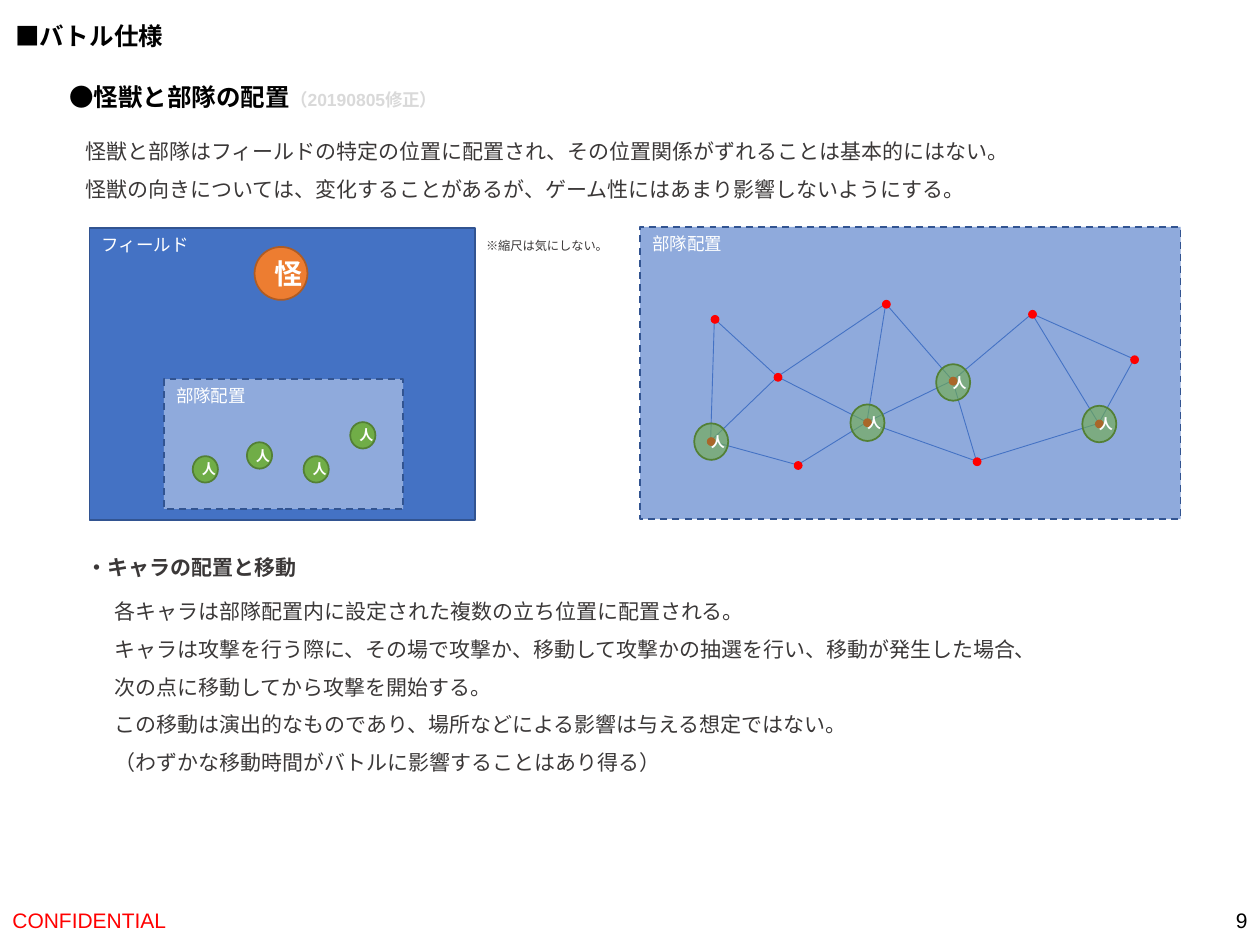
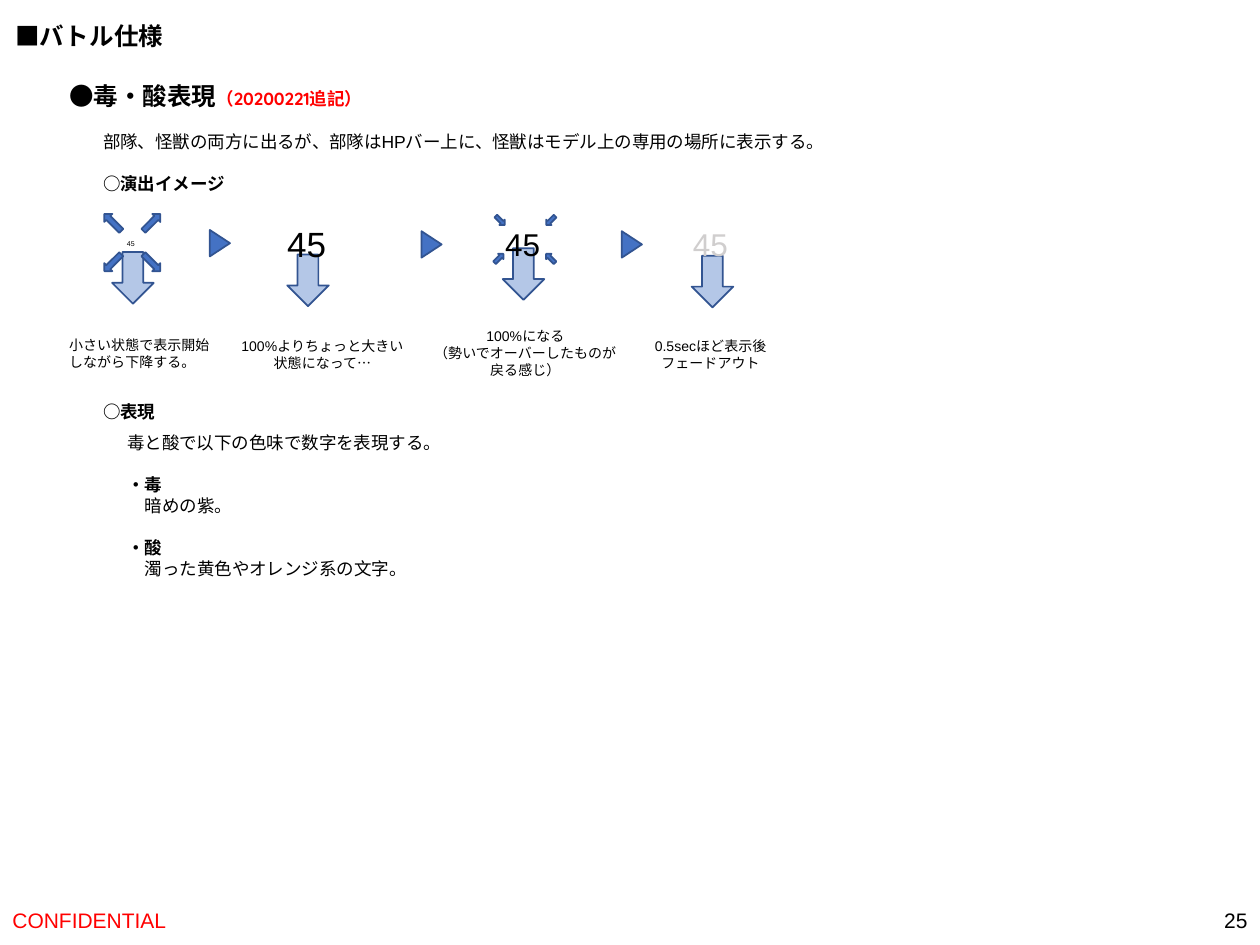
from copy import deepcopy

from lxml import etree
from pptx import Presentation
from pptx.dml.color import RGBColor
from pptx.enum.dml import MSO_LINE
from pptx.enum.shapes import MSO_CONNECTOR, MSO_SHAPE
from pptx.enum.text import MSO_ANCHOR, MSO_AUTO_SIZE, PP_ALIGN
from pptx.oxml.ns import qn
from pptx.util import Pt

PX = 9144  # 100 px to the inch
LINE = MSO_CONNECTOR.STRAIGHT
RECT, OVAL, TRI = MSO_SHAPE.RECTANGLE, MSO_SHAPE.OVAL, MSO_SHAPE.ISOSCELES_TRIANGLE
UP, DOWN = MSO_SHAPE.UP_ARROW, MSO_SHAPE.DOWN_ARROW
DASH = MSO_LINE.DASH
TOP, MID = MSO_ANCHOR.TOP, MSO_ANCHOR.MIDDLE
LEFT, MIDST, RIGHT, JUST = PP_ALIGN.LEFT, PP_ALIGN.CENTER, PP_ALIGN.RIGHT, PP_ALIGN.JUSTIFY
GROW, FIXED = MSO_AUTO_SIZE.SHAPE_TO_FIT_TEXT, MSO_AUTO_SIZE.NONE
SANS, NOTO, ROUND = "Arial", "Noto Sans CJK JP", "Quicksand"

BLACK = RGBColor(0x00, 0x00, 0x00)
WHITE = RGBColor(0xFF, 0xFF, 0xFF)
DARK = RGBColor(0x3B, 0x38, 0x38)
PALE = RGBColor(0xD9, 0xD9, 0xD9)
FADE = RGBColor(0xD0, 0xCE, 0xCE)
RED = RGBColor(0xFF, 0x00, 0x00)
BLUE = RGBColor(0x44, 0x72, 0xC4)
NAVY = RGBColor(0x32, 0x54, 0x91)
SKY = RGBColor(0x8F, 0xAA, 0xDC)
ICE = RGBColor(0xB4, 0xC7, 0xE7)
GREEN = RGBColor(0x70, 0xAD, 0x47)
MOSS = RGBColor(0x53, 0x80, 0x35)
AMBER = RGBColor(0xED, 0x7D, 0x31)
RUST = RGBColor(0xAF, 0x5C, 0x24)


def draw(page, kind, area, fill=None, edge=None, turn=0):
    """Add a preset shape, or a text box when kind is None."""
    area = [v * PX for v in area]
    if kind is None:
        return page.shapes.add_textbox(*area)
    shape = page.shapes.add_shape(kind, *area)
    shape.shadow.inherit = False
    shape.fill.solid()
    shape.fill.fore_color.rgb = fill
    if edge is None:
        shape.line.fill.background()
    else:
        shape.line.color.rgb = edge
        shape.line.width = Pt(1)
    shape.rotation = turn
    return shape


def write(box, text, size, ink, font=SANS, bold=False, align=LEFT,
          anchor=TOP, wrap=True, fit=GROW, space=None):
    """Fill a shape with text, one paragraph a line, and format it."""
    frame = box.text_frame
    frame.text = text
    frame.word_wrap = wrap
    frame.auto_size = fit
    frame.vertical_anchor = anchor
    for para in frame.paragraphs:
        if box.is_placeholder:
            props = para._p.get_or_add_pPr()
            props.set("marL", "0")
            props.set("indent", "0")
            etree.SubElement(props, qn("a:buNone"))
        para.alignment = align
        para.space_before = Pt(0)
        if space:
            para.line_spacing = space
        for run in para.runs:
            run.font.size = Pt(size)
            run.font.bold = bold
            run.font.color.rgb = ink
            run.font.name = font
            etree.SubElement(run._r.get_or_add_rPr(), qn("a:ea"), typeface=NOTO)


deck = Presentation()
deck.slide_width, deck.slide_height = 1000 * PX, 750 * PX

# Shared parts: title, heading with dated note, body place, footer
heads = [
    ("9", "●怪獣と部隊の配置", "（20190805修正）", SANS, PALE, (45, 60, 340, 34), (81, 460, 879, 159)),
    ("25", "●毒・酸表現", "（20200221追記）", ROUND, RED, (45, 59, 340, 34), (91, 338, 837, 145)),
]
pages = []
for num, head, note, font, tint, area, place in heads:
    page = deck.slides.add_slide(deck.slide_layouts[1])
    pages.append(page)
    body = page.placeholders[1]
    for box, spot in ((page.shapes.title, (2, 12, 160, 34)), (body, place)):
        box.left, box.top, box.width, box.height = [v * PX for v in spot]
    write(page.shapes.title, "■バトル仕様", 14, BLACK, bold=True, fit=FIXED)

    box = draw(page, None, area)
    write(box, head, 14, BLACK, font, True, fit=FIXED)
    para = box.text_frame.paragraphs[0]
    para._p.append(deepcopy(para.runs[0]._r))
    run = para.runs[1]
    run.text = note
    run.font.size = Pt(10)
    run.font.color.rgb = tint

    write(draw(page, None, (0, 710, 338, 40)), "CONFIDENTIAL", 12, RED, anchor=MID, fit=FIXED)
    write(draw(page, None, (775, 710, 225, 40)), num, 12, BLACK, align=RIGHT, anchor=MID, fit=FIXED)

# Slide 1: text
page = pages[0]
write(page.placeholders[1],
      "各キャラは部隊配置内に設定された複数の立ち位置に配置される。\n"
      "キャラは攻撃を行う際に、その場で攻撃か、移動して攻撃かの抽選を行い、移動が発生した場合、\n"
      "次の点に移動してから攻撃を開始する。\n"
      "この移動は演出的なものであり、場所などによる影響は与える想定ではない。\n"
      "（わずかな移動時間がバトルに影響することはあり得る）",
      12, DARK, NOTO, align=JUST, space=1.5)
write(draw(page, None, (58, 95, 879, 68)),
      "怪獣と部隊はフィールドの特定の位置に配置され、その位置関係がずれることは基本的にはない。\n"
      "怪獣の向きについては、変化することがあるが、ゲーム性にはあまり影響しないようにする。",
      12, DARK, NOTO, align=JUST, space=1.5)
write(draw(page, None, (376, 178, 227, 26)), "※縮尺は気にしない。", 7, DARK, NOTO,
      align=JUST, space=1.5)
write(draw(page, None, (58, 426, 188, 38)), "・キャラの配置と移動", 12, DARK, NOTO, True,
      MIDST, MID, False, space=1.5)

# Field, squad zones and monster
zones = [
    ("フィールド", (71, 181, 306, 232), BLUE),
    ("部隊配置", (130, 301, 190, 103), SKY),
    ("部隊配置", (508, 180, 429, 232), SKY),
]
for label, area, fill in zones:
    zone = draw(page, RECT, area, fill, NAVY)
    if fill == SKY:
        zone.line.dash_style = DASH
    write(zone, label, 10, WHITE, ROUND, fit=FIXED)
beast = draw(page, OVAL, (202, 196, 42, 42), AMBER, RUST)
write(beast, "怪", 16, WHITE, ROUND, True, MIDST, MID, fit=FIXED)

# Standing points and the paths between them
dots = {
    "a": (564, 350), "b": (617, 299), "c": (688, 335), "d": (703, 241),
    "e": (567, 253), "f": (756, 302), "g": (775, 366), "h": (819, 249),
    "i": (872, 336), "j": (900, 285), "k": (633, 369),
}
paths = "ae ab eb bd bc cd cg cf df fg fh gi ji jh ih ak kc"
for start, end in paths.split():
    ends = [v * PX for v in dots[start] + dots[end]]
    path = page.shapes.add_connector(LINE, *ends)
    path.line.color.rgb = BLUE
    path.line.width = Pt(0.5)
    etree.SubElement(path._element.spPr, qn("a:effectLst"))
for x, y in dots.values():
    draw(page, OVAL, (x - 3, y - 3, 7, 7), RED)

# Squad members: solid in the field, see-through on the points
crew = [(x, y, 20, 21) for x, y in ((153, 362), (196, 351), (241, 362), (278, 335))]
crew += [(x, y, 27, 29) for x, y in ((551, 336), (675, 321), (743, 289), (859, 322))]
for area in crew:
    man = draw(page, OVAL, area, GREEN, MOSS)
    if area[2] == 27:
        tint = man._element.spPr.find(qn("a:solidFill"))[0]
        etree.SubElement(tint, qn("a:alpha"), val="60000")
    write(man, "人", 8, WHITE, ROUND, True, MIDST, MID, fit=FIXED)

# Slide 2: text
page = pages[1]
body = page.placeholders[1]
write(body,
      "毒と酸で以下の色味で数字を表現する。\n・毒\n暗めの紫。\n・酸\n濁った黄色やオレンジ系の文字。",
      10, BLACK)
paras = body.text_frame.paragraphs
for name in (paras[1], paras[3]):
    name.space_before = Pt(12)
    name.runs[0].font.bold = True
for hue in (paras[2], paras[4]):
    hue._p.pPr.set("marL", str(14 * PX))
write(draw(page, None, (72, 99, 837, 27)),
      "部隊、怪獣の両方に出るが、部隊はHPバー上に、怪獣はモデル上の専用の場所に表示する。",
      10, BLACK, anchor=MID)
for text, y, w in (("○演出イメージ", 132, 118), ("○表現", 313, 62)):
    write(draw(page, None, (72, y, w, 27)), text, 10, BLACK, bold=True, anchor=MID, wrap=False)

# Four steps: falling arrow, number, caption
steps = [
    ((89, 200), (91, 185, 27, 17), 4, BLACK, (45, 262, 132, 37), LEFT,
     "小さい状態で表示開始\nしながら下降する。"),
    ((228, 202), (218, 172, 55, 44), 20, BLACK, (179, 263, 154, 37), MIDST,
     "100%よりちょっと大きい\n状態になって…"),
    ((399, 197), (391, 174, 51, 40), 18, BLACK, (334, 255, 166, 50), MIDST,
     "100%になる\n（勢いでオーバーしたものが\n戻る感じ）"),
    ((549, 203), (540, 174, 51, 40), 18, FADE, (508, 263, 112, 37), MIDST,
     "0.5secほど表示後\nフェードアウト"),
]
for (x, y), spot, size, ink, area, align, text in steps:
    draw(page, DOWN, (x, y, 33, 41), ICE, NAVY)
    write(draw(page, None, spot), "45", size, ink, wrap=False)
    write(draw(page, None, area), text, 8, BLACK, align=align, anchor=MID, wrap=False)

# Small arrows: outward while growing, inward while shrinking
rays = [
    (85, 167, 9, 19, 315), (116, 167, 9, 19, 45),
    (85, 199, 9, 19, 225), (116, 199, 9, 19, 135),
    (394, 170, 6, 10, 135), (434, 170, 6, 10, 225),
    (393, 200, 6, 10, 45), (434, 200, 6, 10, 315),
]
for *area, turn in rays:
    draw(page, UP, area, BLUE, NAVY, turn)

# Markers between the steps
for x, y in ((164, 185), (332, 186), (491, 186)):
    draw(page, TRI, (x, y, 21, 16), BLUE, NAVY, 90)

deck.save("out.pptx")
